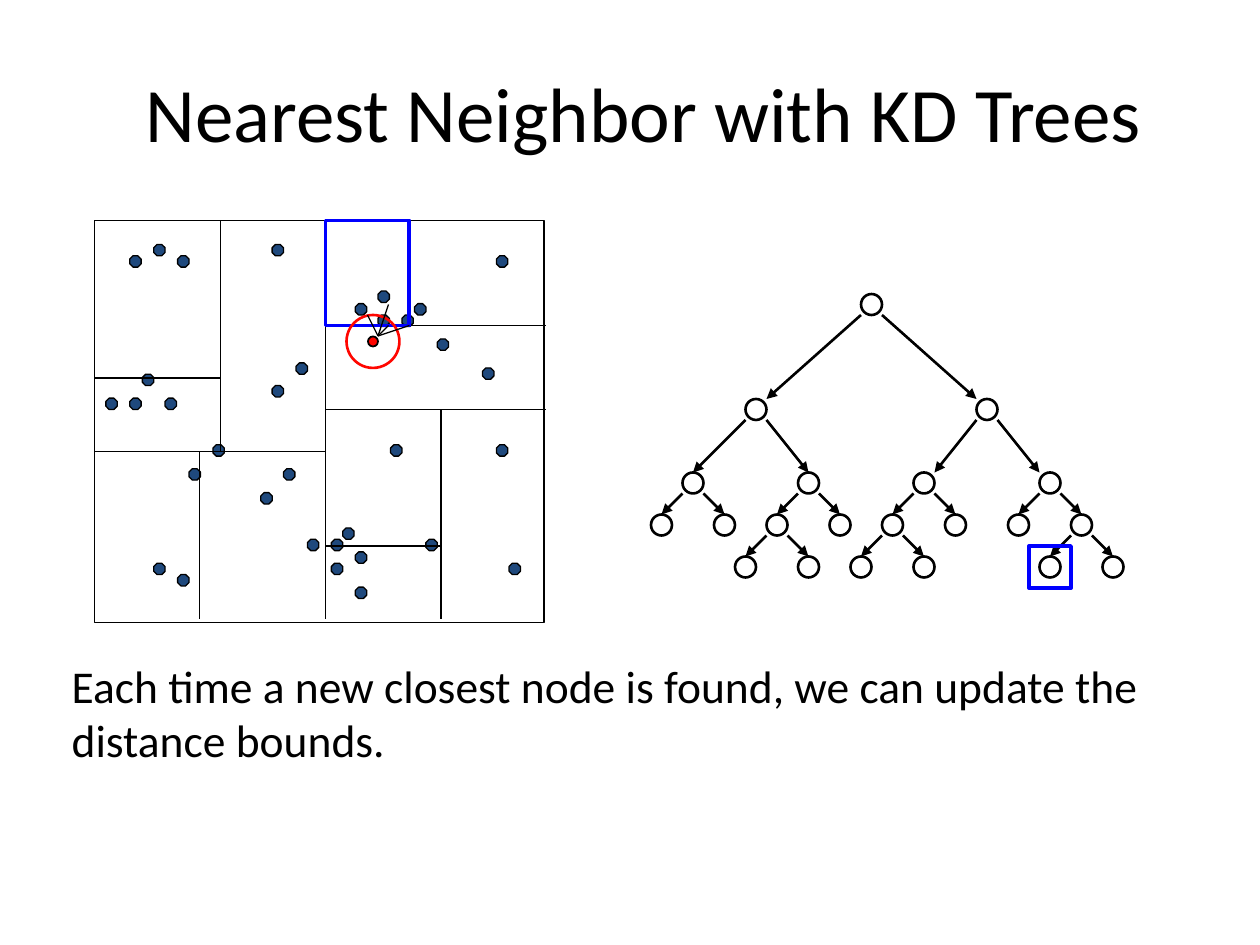
from lxml.etree import SubElement
from pptx import Presentation
from pptx.dml.color import RGBColor
from pptx.enum.shapes import MSO_CONNECTOR, MSO_SHAPE
from pptx.enum.text import MSO_ANCHOR, MSO_AUTO_SIZE, PP_ALIGN
from pptx.oxml.ns import qn
from pptx.util import Inches, Pt

TITLE = "Nearest Neighbor with KD Trees"
NOTE = "Each time a new closest node is found, we can update the distance bounds."
COLORS = {"ink": "000000", "point": "1F497D", "query": "FF0600", "region": "0000FF"}
FONT = "Calibri"

# Data points: left and top in inches
POINT_SIZE = 0.09
POINTS = [
    (1.13, 2.97), (1.31, 3.16), (1.03, 3.16), (2.82, 2.41), (0.84, 3.16), (2.72, 4.19),
    (2.63, 4.28), (3.47, 2.69), (3, 2.5), (2.44, 4.28), (2.63, 4.47), (2.82, 4.66),
    (2.82, 4.38), (3.94, 3.53), (2.16, 3.06), (2.25, 3.72), (3.1, 3.53), (1.41, 4.56),
    (1.5, 3.72), (3, 2.31), (3.19, 2.5), (3.29, 2.41), (3.38, 4.28), (1.22, 4.47),
    (1.69, 3.53), (2.35, 2.88), (2.07, 3.91), (1.41, 2.03), (1.22, 1.94), (1.03, 2.03),
    (2.16, 1.94), (3.94, 2.03), (4.04, 4.47), (3.83, 2.92),
]

# Splits, tree and query rays lie on a grid of twelfths of an inch
UNIT = 1 / 12
SPLITS = [
    (31, 21, 31, 59), (31, 39, 52, 39), (42, 39, 42, 59), (31, 52, 42, 52),
    (9, 43, 31, 43), (21, 43, 21, 21), (31, 31, 52, 31), (39, 21, 39, 31),
    (19, 43, 19, 59), (9, 36, 21, 36),
]
QUERY_START = (36, 32)
QUERY_ENDS = [(35, 30), (37, 31), (37, 29), (39, 31)]
REGIONS = [(31, 21, 8, 10), (98, 52, 4, 4)]

# Tree: (center x, arrow offset toward the parent, children), one y per level
LEVELS = [29, 39, 46, 50, 54]
TREE = (83, 0, [
    (72, 1, [
        (66, 0, [(63, 0, []), (69, 0, [])]),
        (77, 0, [(74, 0, [(71, 0, []), (77, 0, [])]), (80, 0, [])]),
    ]),
    (94, 1, [
        (88, 1, [(85, 0, [(82, 0, []), (88, 0, [])]), (91, 0, [])]),
        (100, 1, [(97, 0, []), (103, 0, [(100, 0, []), (106, 0, [])])]),
    ]),
])


def color(name):
    return RGBColor.from_string(COLORS[name])


def add_outline(page, kind, left, top, width, height, line, weight, fill=None):
    shape = page.shapes.add_shape(kind, Inches(left), Inches(top), Inches(width), Inches(height))
    shape.shadow.inherit = False
    if fill:
        shape.fill.solid()
        shape.fill.fore_color.rgb = color(fill)
    else:
        shape.fill.background()
    shape.line.color.rgb = color(line)
    shape.line.width = Pt(weight)
    return shape


def add_line(page, x1, y1, x2, y2, weight, arrow=False):
    ends = [Inches(value * UNIT) for value in (x1, y1, x2, y2)]
    line = page.shapes.add_connector(MSO_CONNECTOR.STRAIGHT, *ends)
    line.line.color.rgb = color("ink")
    line.line.width = Pt(weight)
    if arrow:
        SubElement(line.line._get_or_add_ln(), qn("a:tailEnd"), type="triangle")
    SubElement(line._element.spPr, qn("a:effectLst"))


def add_node(page, node, level=0):
    x, _, children = node
    y = LEVELS[level]
    add_outline(page, MSO_SHAPE.OVAL, (x - 1) * UNIT, (y - 1) * UNIT,
                2 * UNIT, 2 * UNIT, "ink", 1.5)
    for child in children:
        child_x, offset, _ = child
        side = 1 if child_x > x else -1
        add_line(page, x + side, y + 1, child_x - side * offset, LEVELS[level + 1] - 1,
                 1.5, arrow=True)
        add_node(page, child, level + 1)


def add_text(page, text, top, height, size):
    box = page.shapes.add_textbox(Inches(0.47), Inches(top), Inches(9.28), Inches(height))
    frame = box.text_frame
    frame.word_wrap = True
    para = frame.paragraphs[0]
    para.text = text
    para.font.name = FONT
    para.font.size = Pt(size)
    para.font.color.rgb = color("ink")
    return frame


def main():
    deck = Presentation()
    deck.slide_width, deck.slide_height = Inches(10), Inches(7.5)
    page = deck.slides.add_slide(deck.slide_layouts[6])

    # Partitioned plane
    for left, top in POINTS:
        point = add_outline(page, MSO_SHAPE.OCTAGON, left, top, POINT_SIZE, POINT_SIZE,
                            "ink", 0.75, "point")
        point.adjustments[0] = 0.29
    add_outline(page, MSO_SHAPE.RECTANGLE, 0.75, 1.75, 3.57, 3.19, "ink", 1)
    for split in SPLITS:
        add_line(page, *split, 1)

    # KD tree and explanation
    add_node(page, TREE)
    note = add_text(page, NOTE, 5.17, 0.98, 26)
    note.auto_size = MSO_AUTO_SIZE.SHAPE_TO_FIT_TEXT

    # Query point, current region and leaf, distance bound
    add_outline(page, MSO_SHAPE.OVAL, 2.92, 2.67, 0.08, 0.08, "ink", 1, "query")
    for region in REGIONS:
        add_outline(page, MSO_SHAPE.RECTANGLE, *(value * UNIT for value in region),
                    "region", 2.25)
    add_outline(page, MSO_SHAPE.OVAL, 2.75, 2.5, 0.42, 0.42, "query", 1.5)
    for end in QUERY_ENDS:
        add_line(page, *QUERY_START, *end, 0.75)

    # Title
    title = add_text(page, TITLE, 0.26, 1.25, 44)
    title.vertical_anchor = MSO_ANCHOR.MIDDLE
    title.paragraphs[0].alignment = PP_ALIGN.CENTER

    deck.save("out.pptx")


if __name__ == "__main__":
    main()
